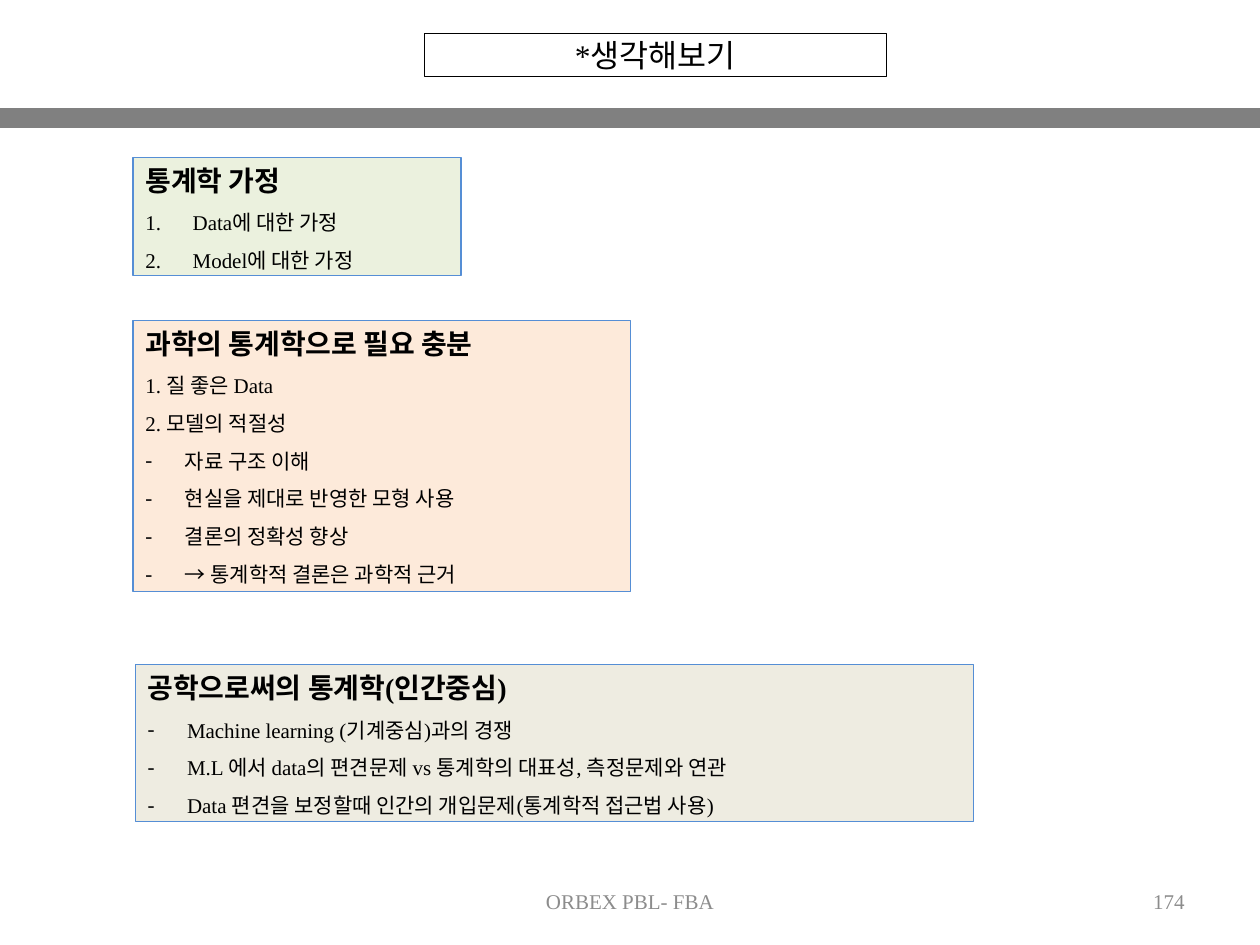
from pptx import Presentation
from pptx.dml.color import RGBColor
from pptx.enum.shapes import MSO_SHAPE
from pptx.enum.text import MSO_ANCHOR, MSO_AUTO_SIZE, PP_ALIGN
from pptx.oxml.ns import qn
from pptx.util import Pt
from lxml import etree

FONT = "Times New Roman"


def color(hex_code):
    return RGBColor.from_string(hex_code)


def style_text(paragraph, size, hex_code, bold=False):
    for span in paragraph.runs:
        span.font.name = FONT
        span.font.size = Pt(size)
        span.font.bold = bold
        span.font.color.rgb = color(hex_code)


deck = Presentation()
deck.slide_width, deck.slide_height = Pt(720), Pt(540)
page = deck.slides.add_slide(deck.slide_layouts[5])

# Title
title = page.shapes.title
title.left, title.top, title.width, title.height = Pt(242.5), Pt(19.3), Pt(263.9), Pt(24.4)
title.fill.solid()
title.fill.fore_color.rgb = color("FFFFFF")
title.line.color.rgb = color("000000")
title.line.width = Pt(0.75)
frame = title.text_frame
frame.text = "*생각해보기"
frame.auto_size = MSO_AUTO_SIZE.NONE
frame.vertical_anchor = MSO_ANCHOR.MIDDLE
frame.margin_left = frame.margin_right = Pt(5)
frame.margin_top = frame.margin_bottom = Pt(2.5)
frame.paragraphs[0].alignment = PP_ALIGN.CENTER
style_text(frame.paragraphs[0], 18, "000000")

# Divider bar
bar = page.shapes.add_shape(MSO_SHAPE.RECTANGLE, Pt(0), Pt(61.8), Pt(720), Pt(11.4))
bar.shadow.inherit = False
bar.fill.solid()
bar.fill.fore_color.rgb = color("808080")
bar.line.fill.background()

# Footer and page number
for text, left, width, alignment in [
    ("ORBEX PBL- FBA", 246, 228, PP_ALIGN.CENTER),
    ("174", 516, 168, PP_ALIGN.RIGHT),
]:
    box = page.shapes.add_textbox(Pt(left), Pt(500.5), Pt(width), Pt(28.75))
    frame = box.text_frame
    frame.word_wrap = True
    frame.vertical_anchor = MSO_ANCHOR.MIDDLE
    frame.text = text
    frame.paragraphs[0].alignment = alignment
    style_text(frame.paragraphs[0], 12, "8C8C8C")

# Topic boxes: position, fill, heading, then lines with their list marker
topics = [
    ((76, 90, 187.5, 67.5), "EBF1DE", "통계학 가정", [
        ("1.", "Data에 대한 가정"),
        ("1.", "Model에 대한 가정"),
    ]),
    ((76, 183, 284.5, 155), "FDEADA", "과학의 통계학으로 필요 충분", [
        ("", "1. 질 좋은 Data"),
        ("", "2. 모델의 적절성"),
        ("-", "자료 구조 이해"),
        ("-", "현실을 제대로 반영한 모형 사용"),
        ("-", "결론의 정확성 향상"),
        ("-", "→ 통계학적 결론은 과학적 근거"),
    ]),
    ((77.3, 379.8, 479, 89.5), "EEECE1", "공학으로써의 통계학(인간중심)", [
        ("-", "Machine learning (기계중심)과의 경쟁"),
        ("-", "M.L 에서 data의 편견문제 vs 통계학의 대표성, 측정문제와 연관"),
        ("-", "Data 편견을 보정할때 인간의 개입문제(통계학적 접근법 사용)"),
    ]),
]
indents = {"1.": 27, "-": 22.5}

for bounds, fill, heading, lines in topics:
    box = page.shapes.add_shape(MSO_SHAPE.RECTANGLE, *[Pt(value) for value in bounds])
    box.shadow.inherit = False
    box.fill.solid()
    box.fill.fore_color.rgb = color(fill)
    box.line.color.rgb = color("558ED5")
    box.line.width = Pt(0.75)
    frame = box.text_frame
    frame.word_wrap = True
    frame.auto_size = MSO_AUTO_SIZE.SHAPE_TO_FIT_TEXT
    frame.vertical_anchor = MSO_ANCHOR.TOP
    frame.text = heading
    frame.paragraphs[0].alignment = PP_ALIGN.LEFT
    style_text(frame.paragraphs[0], 16, "000000", bold=True)
    for marker, text in lines:
        para = frame.add_paragraph()
        para.text = text
        para.alignment = PP_ALIGN.LEFT
        para.line_spacing = 1.5
        if marker:
            properties = para._p.get_or_add_pPr()
            properties.set("marL", str(Pt(indents[marker])))
            properties.set("indent", str(-Pt(indents[marker])))
            etree.SubElement(properties, qn("a:buFont"), typeface=FONT)
            if marker == "-":
                etree.SubElement(properties, qn("a:buChar"), char=marker)
            else:
                etree.SubElement(properties, qn("a:buAutoNum"), type="arabicPeriod")
        style_text(para, 12, "000000")

deck.save("out.pptx")
